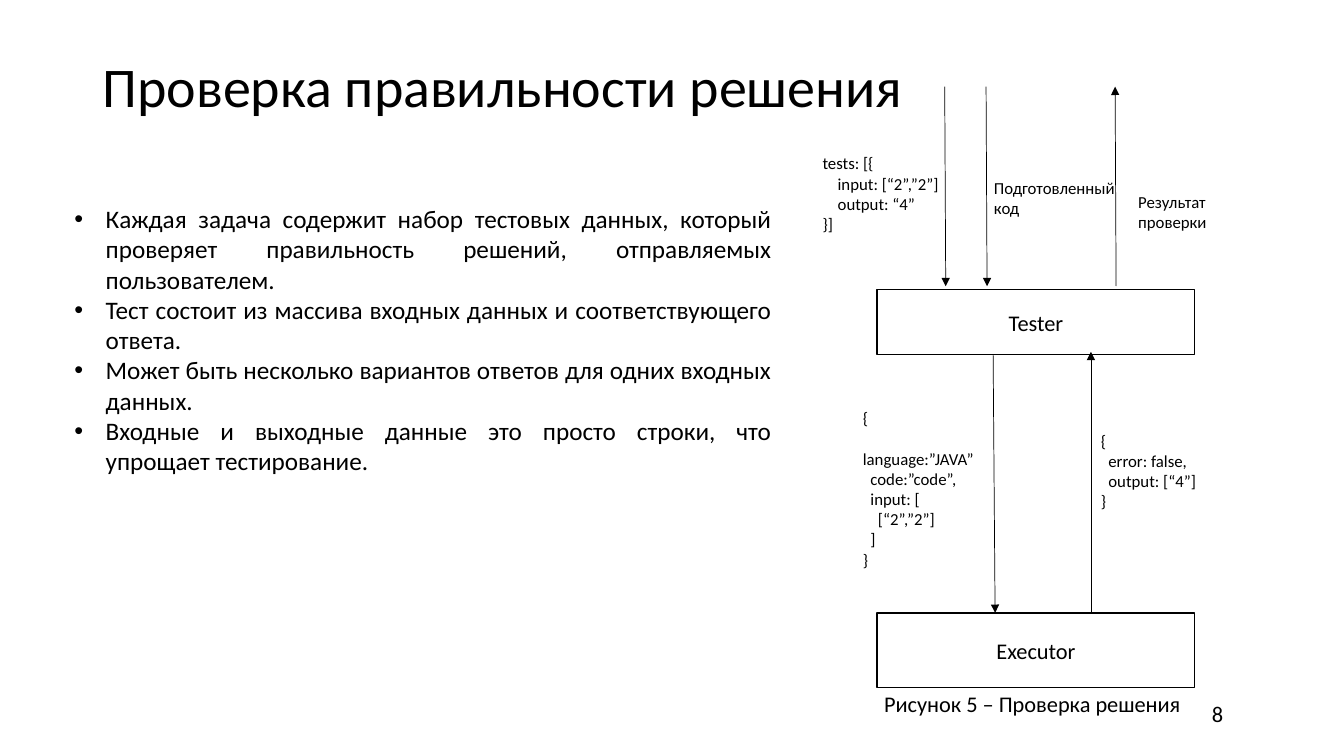
from lxml.etree import SubElement
from pptx import Presentation
from pptx.dml.color import RGBColor
from pptx.enum.shapes import MSO_CONNECTOR as Connector, MSO_SHAPE as Shape
from pptx.enum.text import MSO_ANCHOR as Anchor, PP_ALIGN as Align
from pptx.oxml.ns import qn
from pptx.util import Inches, Pt

COLORS = {"ink": "000000", "paper": "FFFFFF"}
FONT = "Calibri"

TITLE = "Проверка правильности решения"
BULLETS = [
    "Каждая задача содержит набор тестовых данных, который проверяет правильность решений, отправляемых пользователем.",
    "Тест состоит из массива входных данных и соответствующего ответа.",
    "Может быть несколько вариантов ответов для одних входных данных.",
    "Входные и выходные данные это просто строки, что упрощает тестирование.",
]
CAPTION = "Рисунок 5 – Проверка решения"
PAGE_NUMBER = "8"

BOX_LEFT, BOX_WIDTH = 8.7, 3.15
BOXES = [("Executor", 6.08, 0.74), ("Tester", 2.87, 0.65)]

ENTRY_TOP, ENTRY_BOTTOM = 0.86, 2.84
ARROWS = [
    ((9.37, ENTRY_TOP), (9.38, ENTRY_BOTTOM)),
    ((9.78, ENTRY_TOP), (9.79, ENTRY_BOTTOM)),
    ((11.07, ENTRY_BOTTOM), (11.06, ENTRY_TOP)),
    ((9.85, 3.52), (9.87, 6.08)),
    ((10.82, 6.08), (10.82, 3.49)),
]

LABELS = [
    ((8.06, 1.47, 1.73, 1.11),
     ["tests: [{", "    input: [“2”,”2”]", "    output: “4”", "}]"]),
    ((9.76, 1.71, 1.42, 0.71), ["Подготовленный", "код"]),
    ((11.19, 1.85, 1.4, 0.71), ["Результат проверки"]),
    ((8.46, 4, 1.37, 1.51),
     ["{", "  language:”JAVA”", "  code:”code”,", "  input: [",
      "    [“2”,”2”]", "  ]", "}"]),
    ((10.82, 4.22, 1.26, 0.91),
     ["{", "  error: false,", "  output: [“4”]", "}"]),
]


def color(name):
    """Return a named colour."""
    return RGBColor.from_string(COLORS[name])


def write(shape, lines, size, align=Align.LEFT, anchor=Anchor.TOP, bullet=False):
    """Fill a shape with one paragraph per line."""
    frame = shape.text_frame
    frame.word_wrap = True
    frame.vertical_anchor = anchor
    for index, line in enumerate(lines):
        paragraph = frame.add_paragraph() if index else frame.paragraphs[0]
        paragraph.add_run().text = line
        paragraph.alignment = align
        if bullet:
            properties = paragraph._p.get_or_add_pPr()
            indent = Inches(0.31)
            properties.set("marL", str(indent))
            properties.set("indent", str(-indent))
            SubElement(properties, qn("a:buFont"), typeface="Arial")
            SubElement(properties, qn("a:buChar"), char="•")
        paragraph.font.name = FONT
        paragraph.font.size = Pt(size)
        paragraph.font.color.rgb = color("ink")
    return frame


def add_text(slide, place, lines, size, **options):
    """Add a text box at a place given in inches."""
    box = slide.shapes.add_textbox(*map(Inches, place))
    return write(box, lines, size, **options)


def add_box(slide, name, top, height):
    """Add an outlined component box."""
    place = map(Inches, (BOX_LEFT, top, BOX_WIDTH, height))
    shape = slide.shapes.add_shape(Shape.RECTANGLE, *place)
    shape.shadow.inherit = False
    shape.fill.solid()
    shape.fill.fore_color.rgb = color("paper")
    shape.line.color.rgb = color("ink")
    shape.line.width = Pt(1)
    write(shape, [name], 16, align=Align.CENTER, anchor=Anchor.MIDDLE)


def add_arrow(slide, start, end):
    """Add a thin arrow pointing at its end."""
    arrow = slide.shapes.add_connector(Connector.STRAIGHT, *map(Inches, start + end))
    arrow.line.color.rgb = color("ink")
    arrow.line.width = Pt(0.5)
    SubElement(arrow.line._get_or_add_ln(), qn("a:tailEnd"), type="triangle")
    SubElement(arrow._element.spPr, qn("a:effectLst"))


def main():
    """Build and save the slide."""
    presentation = Presentation()
    presentation.slide_width = Inches(13.33)
    presentation.slide_height = Inches(7.5)
    slide = presentation.slides.add_slide(presentation.slide_layouts[6])

    title = add_text(slide, (0.92, 0.35, 8.16, 1.07), [TITLE], 40, anchor=Anchor.MIDDLE)
    title.paragraphs[0].line_spacing = 0.9
    add_text(slide, (0.64, 1.97, 7.11, 2.83), BULLETS, 18, align=Align.JUSTIFY, bullet=True)
    for box in BOXES:
        add_box(slide, *box)
    for start, end in ARROWS:
        add_arrow(slide, start, end)
    for place, lines in LABELS:
        add_text(slide, place, lines, 12)
    add_text(slide, (8.67, 6.8, 3.5, 0.37), [CAPTION], 16)
    add_text(slide, (9.23, 6.88, 3, 0.4), [PAGE_NUMBER], 16,
             align=Align.RIGHT, anchor=Anchor.MIDDLE)
    presentation.save("out.pptx")


if __name__ == "__main__":
    main()
